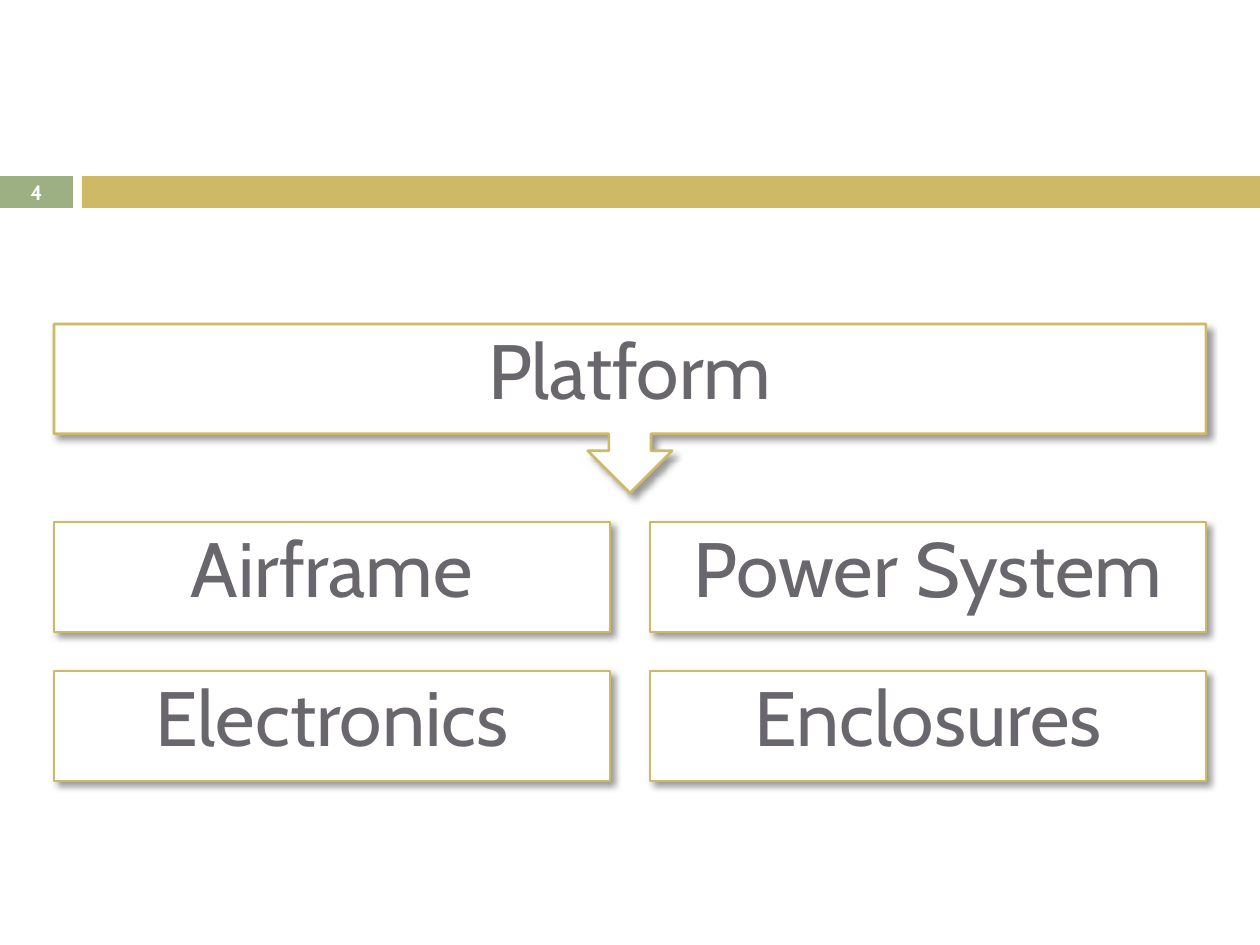
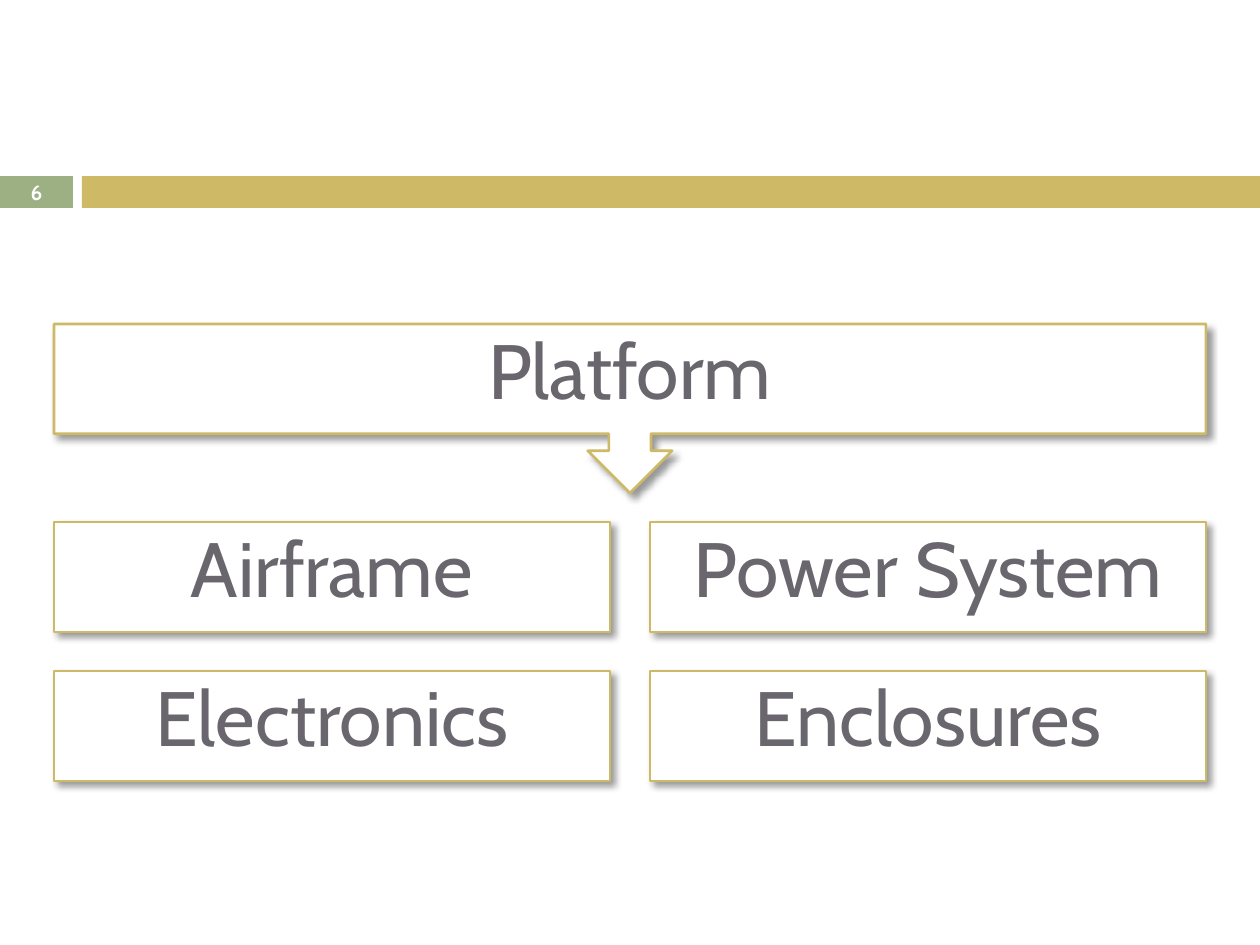
from lxml.etree import SubElement
from pptx import Presentation
from pptx.dml.color import RGBColor
from pptx.enum.shapes import MSO_SHAPE as Shape
from pptx.enum.text import MSO_ANCHOR as Anchor, PP_ALIGN as Align
from pptx.oxml.ns import qn
from pptx.util import Inches, Pt

PX = Inches(1) // 126
WHITE = RGBColor(0xFF, 0xFF, 0xFF)
GREEN = RGBColor(0x9C, 0xB0, 0x84)
GOLD = RGBColor(0xCE, 0xB9, 0x66)
GREY = RGBColor(0x69, 0x67, 0x6D)
FONT = "Cabin"

SLIDE_W, SLIDE_H = 1260, 945
BAND = (0, 176, SLIDE_W, 32)
DIAGRAM = (54, 324, 1152, 456)
BOX_H, GAP, CALLOUT_H, PARTS_TOP = 110, 40, 169, 198
TEXT_RISE = 10
PLATFORM = "Platform"
PARTS = [["Airframe", "Power System"], ["Electronics", "Enclosures"]]
PAGE_NUMBERS = [4, 6]


def emu(*lengths):
    """Turn px lengths into EMU."""
    return [length * PX for length in lengths]


def add_block(shapes, kind, box, fill):
    """Add a plain filled shape without line or shadow."""
    sp = shapes.add_shape(kind, *emu(*box))
    sp.shadow.inherit = False
    sp.fill.solid()
    sp.fill.fore_color.rgb = fill
    sp.line.fill.background()
    return sp


def add_card(shapes, kind, box):
    """Add a white shape with a gold outline and a soft shadow."""
    sp = add_block(shapes, kind, box, WHITE)
    sp.line.color.rgb = GOLD
    sp.line.width = Pt(1.5)
    effects = sp._element.spPr.find(qn("a:effectLst"))
    shadow = SubElement(effects, qn("a:outerShdw"), blurRad=str(Pt(4)), dist=str(Pt(3)),
                        dir=str(45 * 60000), algn="tl", rotWithShape="0")
    color = SubElement(shadow, qn("a:srgbClr"), val="000000")
    SubElement(color, qn("a:alpha"), val="40000")


def add_label(shapes, box, text, size, color, bold=False):
    """Add centred text in a box without margins."""
    tf = shapes.add_textbox(*emu(*box)).text_frame
    tf.word_wrap = True
    tf.margin_left = tf.margin_right = tf.margin_top = tf.margin_bottom = 0
    tf.vertical_anchor = Anchor.MIDDLE
    tf.text = text
    p = tf.paragraphs[0]
    p.alignment = Align.CENTER
    font = p.runs[0].font
    font.name, font.size, font.bold = FONT, Pt(size), bold
    font.color.rgb = color


def add_band(s, box, number):
    """Add the page number tab and the gold band beside it."""
    left, top, width, height = box
    tab_w, band_left = 73, 82
    add_block(s.shapes, Shape.RECTANGLE, (left, top, tab_w, height), GREEN)
    add_block(s.shapes, Shape.RECTANGLE,
              (left + band_left, top, width - band_left, height), GOLD)
    add_label(s.shapes, (left, top - 1, tab_w, height + 2), str(number), 11.9, WHITE, True)


def add_diagram(s, box):
    """Add the platform callout above the grid of its parts."""
    left, top, width, _ = box
    part_w = (width - GAP) // 2
    shapes = s.shapes.add_group_shape().shapes
    add_card(shapes, Shape.DOWN_ARROW_CALLOUT, (left, top, width, CALLOUT_H))
    labels = [(PLATFORM, left, top, width)]
    for row, names in enumerate(PARTS):
        for col, name in enumerate(names):
            x = left + col * (part_w + GAP)
            y = top + PARTS_TOP + row * (BOX_H + GAP - 1)
            add_card(shapes, Shape.RECTANGLE, (x, y, part_w, BOX_H))
            labels.append((name, x, y, part_w))
    for name, x, y, label_w in labels:
        add_label(shapes, (x, y - TEXT_RISE, label_w, BOX_H), name, 44, GREY)


def add_platform_slide(prs, number):
    """Add one platform overview slide."""
    s = prs.slides.add_slide(prs.slide_layouts[6])
    add_band(s, BAND, number)
    add_diagram(s, DIAGRAM)


def main():
    """Build and save the presentation."""
    prs = Presentation()
    prs.slide_width, prs.slide_height = emu(SLIDE_W, SLIDE_H)
    for number in PAGE_NUMBERS:
        add_platform_slide(prs, number)
    prs.save("out.pptx")


if __name__ == "__main__":
    main()
